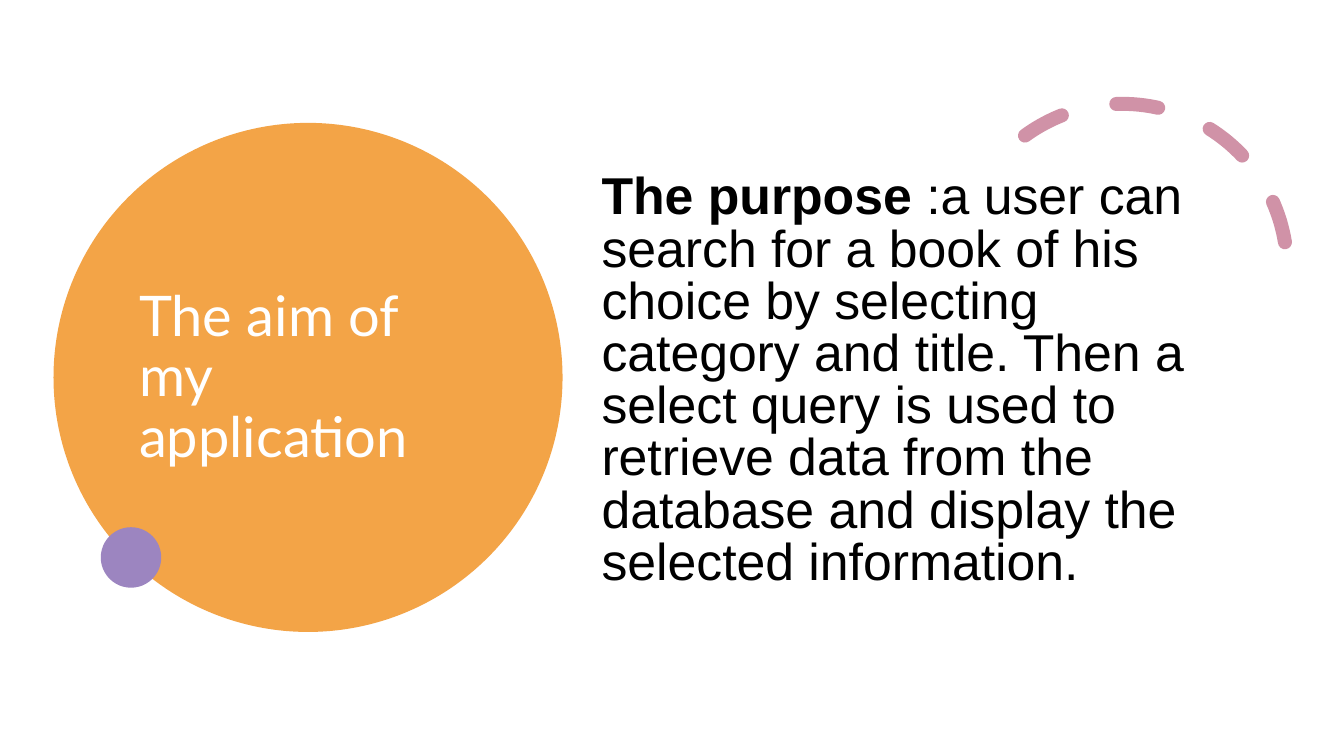
from pptx import Presentation
from pptx.dml.color import RGBColor
from pptx.enum.dml import MSO_LINE
from pptx.enum.shapes import MSO_SHAPE as Shape
from pptx.enum.text import MSO_ANCHOR as Anchor, MSO_AUTO_SIZE as AutoSize, PP_ALIGN as Align
from pptx.util import Pt

ORANGE = RGBColor(0xF3, 0xA4, 0x47)
PURPLE = RGBColor(0x9C, 0x85, 0xC0)
PINK = RGBColor(0xD0, 0x92, 0xA7)
WHITE = RGBColor(0xFF, 0xFF, 0xFF)
BLACK = RGBColor(0x00, 0x00, 0x00)

PURPOSE_LABEL = "The purpose"
PURPOSE_TEXT = (
    " :a user can search for a book of his choice by selecting category and title. "
    "Then a select query is used to retrieve data from the database "
    "and display the selected information."
)


def add_circle(slide, left, top, diameter, color):
    circle = slide.shapes.add_shape(
        Shape.OVAL, Pt(left), Pt(top), Pt(diameter), Pt(diameter))
    circle.shadow.inherit = False
    circle.fill.solid()
    circle.fill.fore_color.rgb = color
    circle.line.fill.background()


def add_dashed_arc(slide, left, top, diameter, rotation, ends):
    arc = slide.shapes.add_shape(
        Shape.ARC, Pt(left), Pt(top), Pt(diameter), Pt(diameter))
    arc.shadow.inherit = False
    arc.rotation = rotation
    arc.adjustments[0], arc.adjustments[1] = ends
    arc.fill.background()
    arc.line.color.rgb = PINK
    arc.line.width = Pt(10)
    arc.line.dash_style = MSO_LINE.DASH
    arc.line._get_or_add_ln().set("cap", "rnd")


def format_run(run, font_name, size, color, bold=False):
    font = run.font
    font.name = font_name
    font.size = Pt(size)
    font.color.rgb = color
    font.bold = bold


def place_title(slide, text):
    title = slide.shapes.title
    title.left, title.top, title.width, title.height = (
        Pt(92.2), Pt(110.2), Pt(254.9), Pt(320.4))
    text_frame = title.text_frame
    text_frame.text = text
    text_frame.word_wrap = True
    text_frame.auto_size = AutoSize.NONE
    text_frame.vertical_anchor = Anchor.MIDDLE
    paragraph = text_frame.paragraphs[0]
    paragraph.alignment = Align.LEFT
    paragraph.line_spacing = 0.9
    format_run(paragraph.runs[0], "Lato", 40, WHITE)


def add_purpose(slide):
    box = slide.shapes.add_textbox(Pt(422.6), Pt(120.2), Pt(435.6), Pt(309.6))
    text_frame = box.text_frame
    text_frame.word_wrap = True
    text_frame.text = PURPOSE_LABEL
    paragraph = text_frame.paragraphs[0]
    paragraph.line_spacing = 0.84
    paragraph.add_run().text = PURPOSE_TEXT
    for run in paragraph.runs:
        format_run(run, "Arial", 37, BLACK, bold=run.text == PURPOSE_LABEL)


def main():
    presentation = Presentation()
    presentation.slide_width, presentation.slide_height = Pt(960), Pt(540)
    slide = presentation.slides.add_slide(presentation.slide_layouts[5])

    add_circle(slide, 38.2, 87.8, 363.6, ORANGE)
    place_title(slide, "The aim of my application")
    # Bring the title in front of the large circle.
    slide.shapes._spTree.append(slide.shapes.title._element)
    add_purpose(slide)
    add_dashed_arc(slide, 684, 74.2, 235.4, 330.2, (158.17, 17.81))
    add_circle(slide, 72, 376.6, 43.2, PURPLE)

    presentation.save("out.pptx")


if __name__ == "__main__":
    main()
